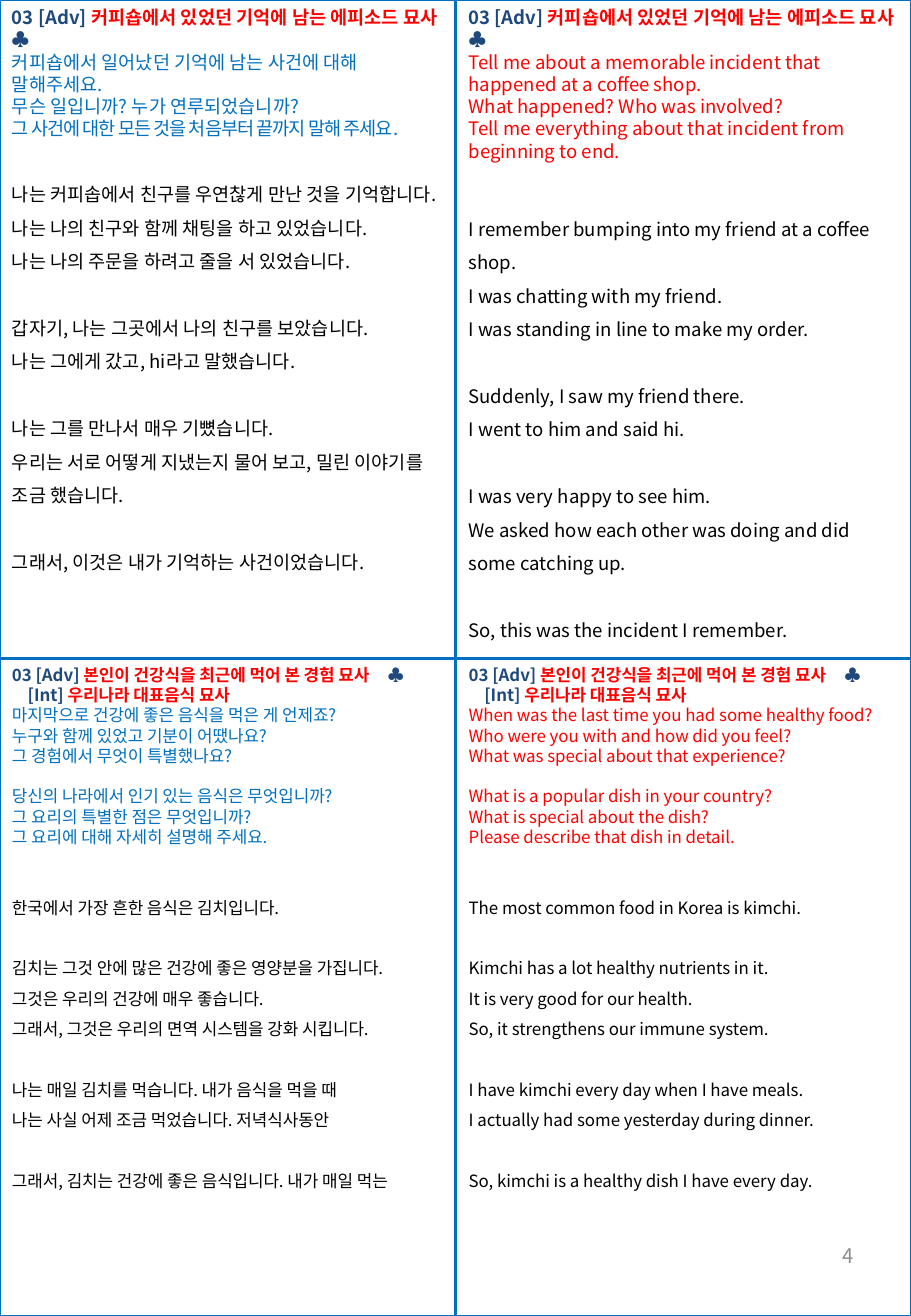
from lxml import etree
from pptx import Presentation
from pptx import util as u
from pptx.dml.color import RGBColor
from pptx.enum import shapes, text
from pptx.oxml import ns

COLORS = {
    "rule": "0070C0", "label": "1F497D", "topic": "FF0000",
    "korean": "0070C0", "english": "FF0000", "answer": "000000",
    "number": "8C8C8C",
}
FONT = "Noto Sans CJK KR"
WIDTH, HEIGHT = 7.5, 10.83
MIDDLE_X, MIDDLE_Y = 3.75, 5.42

EPISODE = "커피숍에서 있었던 기억에 남는 에피소드 묘사"
HEALTHY_FOOD = "본인이 건강식을 최근에 먹어 본 경험 묘사"
NATIONAL_DISH = "우리나라 대표음식 묘사"

EPISODE_KOREAN = {
    "questions": [[
        "커피숍에서 일어났던 기억에 남는 사건에 대해 말해주세요.",
        "무슨 일입니까? 누가 연루되었습니까?",
        "그 사건에 대한 모든 것을 처음부터 끝까지 말해 주세요.",
    ]],
    "answers": [
        ["나는 커피솝에서 친구를 우연찮게 만난 것을 기억합니다.",
         "나는 나의 친구와 함께 채팅을 하고 있었습니다.",
         "나는 나의 주문을 하려고 줄을 서 있었습니다."],
        ["갑자기, 나는 그곳에서 나의 친구를 보았습니다.",
         "나는 그에게 갔고, hi라고 말했습니다."],
        ["나는 그를 만나서 매우 기뼜습니다.",
         "우리는 서로 어떻게 지냈는지 물어 보고, 밀린 이야기를 조금 했습니다."],
        ["그래서, 이것은 내가 기억하는 사건이었습니다."],
    ],
}
EPISODE_ENGLISH = {
    "questions": [[
        "Tell me about a memorable incident that happened at a coffee shop.",
        "What happened? Who was involved?",
        "Tell me everything about that incident from beginning to end.",
    ]],
    "answers": [
        ["I remember bumping into my friend at a coffee shop.",
         "I was chatting with my friend.",
         "I was standing in line to make my order."],
        ["Suddenly, I saw my friend there.", "I went to him and said hi."],
        ["I was very happy to see him.",
         "We asked how each other was doing and did some catching up."],
        ["So, this was the incident I remember."],
    ],
}
FOOD_KOREAN = {
    "questions": [
        ["마지막으로 건강에 좋은 음식을 먹은 게 언제죠?",
         "누구와 함께 있었고 기분이 어땠나요?",
         "그 경험에서 무엇이 특별했나요?"],
        ["당신의 나라에서 인기 있는 음식은 무엇입니까?",
         "그 요리의 특별한 점은 무엇입니까?",
         "그 요리에 대해 자세히 설명해 주세요."],
    ],
    "answers": [
        ["한국에서 가장 흔한 음식은 김치입니다."],
        ["김치는 그것 안에 많은 건강에 좋은 영양분을 가집니다.",
         "그것은 우리의 건강에 매우 좋습니다.",
         "그래서, 그것은 우리의 면역 시스템을 강화 시킵니다."],
        ["나는 매일 김치를 먹습니다. 내가 음식을 먹을 때",
         "나는 사실 어제 조금 먹었습니다. 저녁식사동안"],
        ["그래서, 김치는 건강에 좋은 음식입니다. 내가 매일 먹는"],
    ],
}
FOOD_ENGLISH = {
    "questions": [
        ["When was the last time you had some healthy food?",
         "Who were you with and how did you feel?",
         "What was special about that experience?"],
        ["What is a popular dish in your country?",
         "What is special about the dish?",
         "Please describe that dish in detail."],
    ],
    "answers": [
        ["The most common food in Korea is kimchi."],
        ["Kimchi has a lot healthy nutrients in it.",
         "It is very good for our health.",
         "So, it strengthens our immune system."],
        ["I have kimchi every day when I have meals.",
         "I actually had some yesterday during dinner."],
        ["So, kimchi is a healthy dish I have every day."],
    ],
}


class StudyCard:
    def __init__(self, slide):
        self.slide = slide

    def style_line(self, line):
        line.color.rgb = RGBColor.from_string(COLORS["rule"])
        line.width = u.Pt(1.5)

    def rule(self, x1, y1, x2, y2):
        connector = self.slide.shapes.add_connector(
            shapes.MSO_CONNECTOR.STRAIGHT, *map(u.Inches, (x1, y1, x2, y2)))
        self.style_line(connector.line)
        etree.SubElement(connector._element.spPr, ns.qn("a:effectLst"))

    def border(self):
        frame = self.slide.shapes.add_shape(
            shapes.MSO_SHAPE.RECTANGLE, 0, 0, u.Inches(WIDTH), u.Inches(HEIGHT))
        frame.shadow.inherit = False
        frame.fill.background()
        self.style_line(frame.line)

    def text_box(self, left, top, width, height):
        frame = self.slide.shapes.add_textbox(
            *map(u.Inches, (left, top, width, height))).text_frame
        frame.word_wrap = True
        return frame

    def add_words(self, paragraph, words, color, size, bold=False):
        run = paragraph.add_run()
        run.text = words
        run.font.name = FONT
        run.font.size = u.Pt(size)
        run.font.bold = bold
        run.font.color.rgb = RGBColor.from_string(COLORS[color])
        etree.SubElement(run.font._element, ns.qn("a:ea"), typeface=FONT)

    def heading(self, paragraph, label, topic, size, club_at=None):
        """Add a label and topic, with a club at a tab stop if one is given."""
        paragraph.line_spacing = u.Pt(size * 1.2)
        if club_at:
            tabs = etree.SubElement(
                paragraph._p.get_or_add_pPr(), ns.qn("a:tabLst"))
            etree.SubElement(tabs, ns.qn("a:tab"),
                             pos=str(u.Inches(club_at)), algn="l")
        self.add_words(paragraph, label + " ", "label", size, True)
        self.add_words(paragraph, topic + ("\t" if club_at else ""),
                       "topic", size, True)
        if club_at:
            self.add_words(paragraph, "♣", "label", size, True)

    def groups(self, frame, groups, color, size, pitch, lead_gap):
        """Add groups of lines, one line pitch apart from each other."""
        for number, lines in enumerate(groups):
            for position, line in enumerate(lines):
                paragraph = frame.add_paragraph()
                paragraph.line_spacing = u.Pt(pitch)
                if position == 0:
                    paragraph.space_before = u.Pt(pitch if number else lead_gap)
                self.add_words(paragraph, line, color, size)

    def panel(self, left, top, height, size, topic, club_at, language, content,
              answer_gap, second_topic=None):
        frame = self.text_box(left, top, MIDDLE_X, height)
        self.heading(frame.paragraphs[0], "03 [Adv]", topic, size, club_at)
        if second_topic:
            second = frame.add_paragraph()
            second._p.get_or_add_pPr().set("marL", str(u.Inches(0.13)))
            self.heading(second, "[Int]", second_topic, size)
        self.groups(frame, content["questions"], language, size, size * 1.2, 0)
        self.groups(frame, content["answers"], "answer", size, size * 1.8,
                    answer_gap)
        return frame

    def page_number(self, number):
        frame = self.text_box(5.38, 10.04, 1.75, 0.58)
        frame.vertical_anchor = text.MSO_ANCHOR.MIDDLE
        frame.paragraphs[0].alignment = text.PP_ALIGN.RIGHT
        self.add_words(frame.paragraphs[0], number, "number", 12)


def main():
    deck = Presentation()
    deck.slide_width, deck.slide_height = u.Inches(WIDTH), u.Inches(HEIGHT)
    card = StudyCard(deck.slides.add_slide(deck.slide_layouts[6]))
    card.rule(0, MIDDLE_Y, WIDTH, MIDDLE_Y)
    card.rule(MIDDLE_X, 0, MIDDLE_X, HEIGHT)
    card.border()
    card.page_number("4")

    episode = card.panel(0, 0, 5.06, 11, EPISODE, 2.73, "korean",
                         EPISODE_KOREAN, 19.2)
    last_question = episode.paragraphs[3].runs[0]
    last_question.font._element.set("spc", "-60")
    card.panel(3.76, 0, 5.34, 11, EPISODE, 2.73, "english",
               EPISODE_ENGLISH, 26.4)
    for left, height, language, content in (
            (0, 4.44, "korean", FOOD_KOREAN),
            (3.76, 4.61, "english", FOOD_ENGLISH)):
        card.panel(left, MIDDLE_Y, height, 10, HEALTHY_FOOD, 3.09, language,
                   content, 24, NATIONAL_DISH)
    deck.save("out.pptx")


if __name__ == "__main__":
    main()
